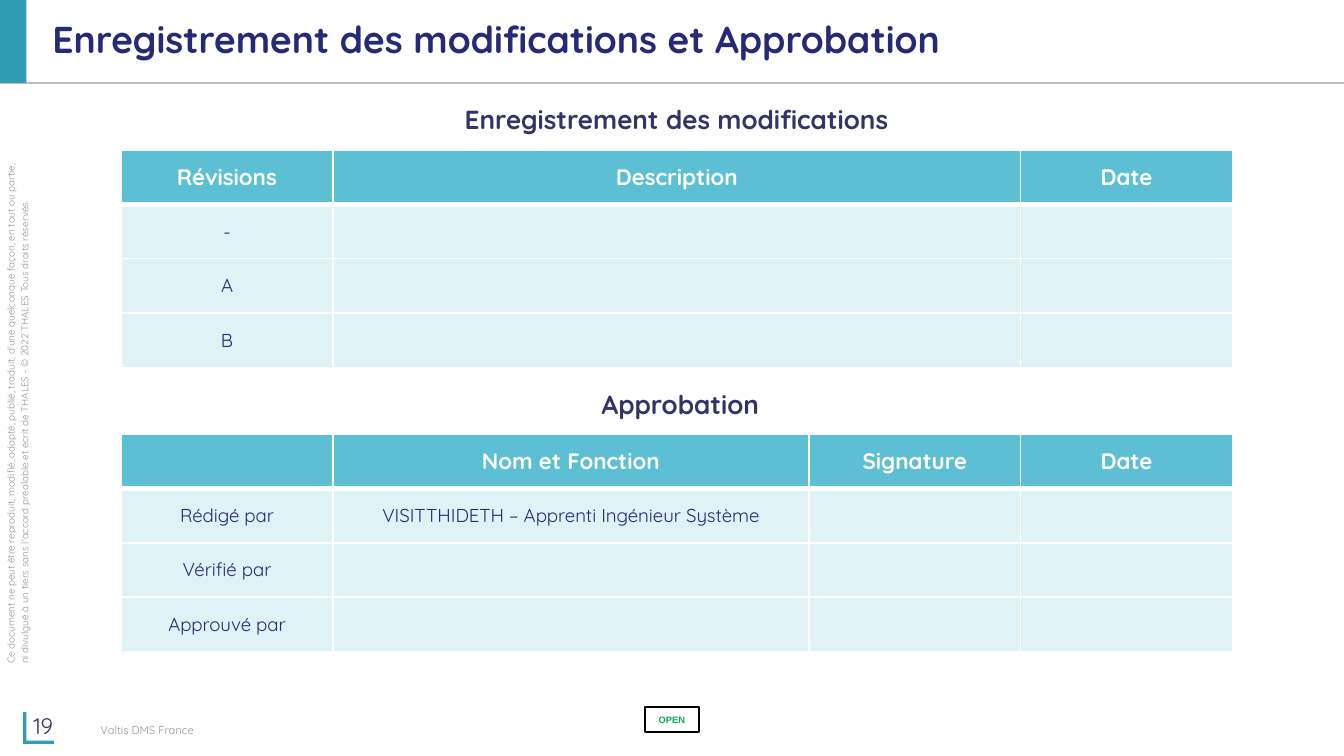
import pptx
import pptx.dml.color
import pptx.enum.shapes
import pptx.enum.text
import pptx.oxml
import pptx.oxml.ns
import pptx.util
from pptx.dml.color import RGBColor
from pptx.enum.text import MSO_ANCHOR, PP_ALIGN
from pptx.util import Cm

NAVY = RGBColor(0x24, 0x2A, 0x75)
INDIGO = RGBColor(0x33, 0x33, 0x66)
TEAL = RGBColor(0x30, 0x9D, 0xB5)
HEADER_BLUE = RGBColor(0x5D, 0xBF, 0xD4)
PALE_BLUE = RGBColor(0xDF, 0xF2, 0xF6)
GREEN = RGBColor(0x00, 0xB0, 0x50)
GREY = RGBColor(0x96, 0x96, 0x96)
RULE_GREY = RGBColor(0xBF, 0xBF, 0xBF)
WHITE = RGBColor(0xFF, 0xFF, 0xFF)
BLACK = RGBColor(0x00, 0x00, 0x00)

TABLE_LEFT = 2.29
ROW_HEIGHT = 1.03
LEGAL_NOTICE = (
    "Ce document ne peut être reproduit, modifié, adapté, publié, traduit, "
    "d'une quelconque façon, en tout ou partie,\n"
    "ni divulgué à un tiers sans l'accord préalable et écrit de THALES - "
    "© 2022 THALES\u00a0Tous droits réservés."
)


def write(frame, text, size, color, bold=False, align=PP_ALIGN.LEFT, font="Quicksand"):
    frame.text = text
    for para in frame.paragraphs:
        para.alignment = align
        for span in para.runs:
            span.font.name = font
            span.font.size = pptx.util.Pt(size)
            span.font.bold = bold
            span.font.color.rgb = color


def add_text(page, place, text, size, color, anchor=MSO_ANCHOR.TOP, **style):
    box = page.shapes.add_textbox(*map(Cm, place))
    frame = box.text_frame
    frame.word_wrap = True
    frame.vertical_anchor = anchor
    write(frame, text, size, color, **style)
    return box


def add_rectangle(page, place, fill):
    box = page.shapes.add_shape(
        pptx.enum.shapes.MSO_SHAPE.RECTANGLE, *map(Cm, place))
    box.shadow.inherit = False
    box.fill.solid()
    box.fill.fore_color.rgb = fill
    box.line.fill.background()
    return box


def add_rule(page, y, width):
    rule = page.shapes.add_connector(
        pptx.enum.shapes.MSO_CONNECTOR.STRAIGHT, 0, Cm(y), width, Cm(y))
    rule.line.color.rgb = RULE_GREY
    rule.line.width = pptx.util.Pt(0.75)
    pptx.oxml.ns.qn("a:effectLst")
    rule._element.spPr.append(pptx.oxml.parse_xml(
        f'<a:effectLst {pptx.oxml.ns.nsdecls("a")}/>'))


def add_corner(page):
    """Draw the L-shaped bracket around the page number."""
    left, inner, right = Cm(0.44), Cm(0.5), Cm(1.02)
    top, shelf, bottom = Cm(13.46), Cm(14), Cm(14.06)
    builder = page.shapes.build_freeform(left, top)
    builder.add_line_segments([
        (left, bottom), (right, bottom), (right, shelf),
        (inner, shelf), (inner, top)])
    corner = builder.convert_to_shape()
    corner.shadow.inherit = False
    corner.fill.solid()
    corner.fill.fore_color.rgb = TEAL
    corner.line.fill.background()


def add_stamp(page, text):
    stamp = add_rectangle(page, (12.19, 13.36, 1.02, 0.48), WHITE)
    color = stamp._element.spPr.find(".//" + pptx.oxml.ns.qn("a:srgbClr"))
    color.append(pptx.oxml.parse_xml(
        f'<a:alpha {pptx.oxml.ns.nsdecls("a")} val="50000"/>'))
    stamp.line.color.rgb = BLACK
    stamp.line.width = pptx.util.Pt(1)
    stamp.text_frame.word_wrap = False
    stamp.text_frame.vertical_anchor = MSO_ANCHOR.MIDDLE
    write(stamp.text_frame, text, 5, GREEN, True, PP_ALIGN.CENTER, "Arial")


def set_borders(cell, row):
    """White grid, thicker between the header and the body."""
    widths = {"L": 1, "R": 1, "T": 3 if row == 1 else 1, "B": 3 if row == 0 else 1}
    properties = cell._tc.get_or_add_tcPr()
    for side, width in widths.items():
        properties.append(pptx.oxml.parse_xml(
            f'<a:ln{side} {pptx.oxml.ns.nsdecls("a")} w="{pptx.util.Pt(width)}">'
            f'<a:solidFill><a:srgbClr val="{WHITE}"/></a:solidFill></a:ln{side}>'))


def add_grid(page, top, widths, rows):
    table = page.shapes.add_table(
        len(rows), len(widths), Cm(TABLE_LEFT), Cm(top),
        Cm(sum(widths)), Cm(ROW_HEIGHT * len(rows))).table
    table.horz_banding = False
    for column, width in zip(table.columns, widths):
        column.width = Cm(width)
    for r, texts in enumerate(rows):
        table.rows[r].height = Cm(ROW_HEIGHT)
        header = r == 0
        for c in range(len(widths)):
            cell = table.cell(r, c)
            set_borders(cell, r)
            cell.fill.solid()
            cell.fill.fore_color.rgb = HEADER_BLUE if header else PALE_BLUE
            cell.vertical_anchor = MSO_ANCHOR.MIDDLE
            text = texts[c] if c < len(texts) else ""
            if text:
                write(cell.text_frame, text, 12 if header else 10,
                      WHITE if header else NAVY, header, PP_ALIGN.CENTER)
            else:
                # A small end mark keeps empty cells from stretching the row.
                mark = cell.text_frame.paragraphs[0]._p.get_or_add_endParaRPr()
                mark.set("sz", "1000")


def add_legal_notice(page):
    notice = add_text(page, (-5.31, 6.65, 11.28, 0.51), LEGAL_NOTICE, 5.3, GREY,
                      anchor=MSO_ANCHOR.MIDDLE)
    notice.rotation = 270
    frame = notice.text_frame
    frame.margin_left = frame.margin_right = frame.margin_top = frame.margin_bottom = 0
    frame.paragraphs[1].space_before = pptx.util.Pt(1)


def main():
    deck = pptx.Presentation()
    deck.slide_width, deck.slide_height = Cm(25.4), Cm(14.29)
    page = deck.slides.add_slide(deck.slide_layouts[6])

    add_text(page, (0.38, 13.34, 2.18, 0.76), "19", 12, INDIGO,
             anchor=MSO_ANCHOR.MIDDLE)
    add_rule(page, 1.57, deck.slide_width)
    add_rectangle(page, (0, 0, 0.5, 1.57), TEAL)
    add_corner(page)
    add_legal_notice(page)
    add_stamp(page, "OPEN")
    footer = add_text(page, (1.65, 13.67, 12.24, 0.38), "Valtis DMS France", 6, GREY)
    footer.text_frame.margin_top = footer.text_frame.margin_bottom = 0

    title = add_text(page, (0.74, 0, 24.1, 1.55),
                     "Enregistrement des modifications et Approbation", 20, NAVY,
                     anchor=MSO_ANCHOR.MIDDLE, bold=True)
    title.text_frame.paragraphs[0].line_spacing = 0.9

    add_grid(page, 2.83, (4, 13, 4),
             [("Révisions", "Description", "Date"), ("-",), ("A",), ("B",)])
    add_grid(page, 8.2, (4, 9, 4, 4),
             [("", "Nom et Fonction", "Signature", "Date"),
              ("Rédigé par", "VISITTHIDETH – Apprenti Ingénieur Système"),
              ("Vérifié par",), ("Approuvé par",)])
    for left, top, heading in ((2.29, 1.83, "Enregistrement des modifications"),
                               (2.36, 7.21, "Approbation")):
        add_text(page, (left, top, 21, 0.86), heading, 14, INDIGO,
                 bold=True, align=PP_ALIGN.CENTER)

    deck.save("out.pptx")


if __name__ == "__main__":
    main()
